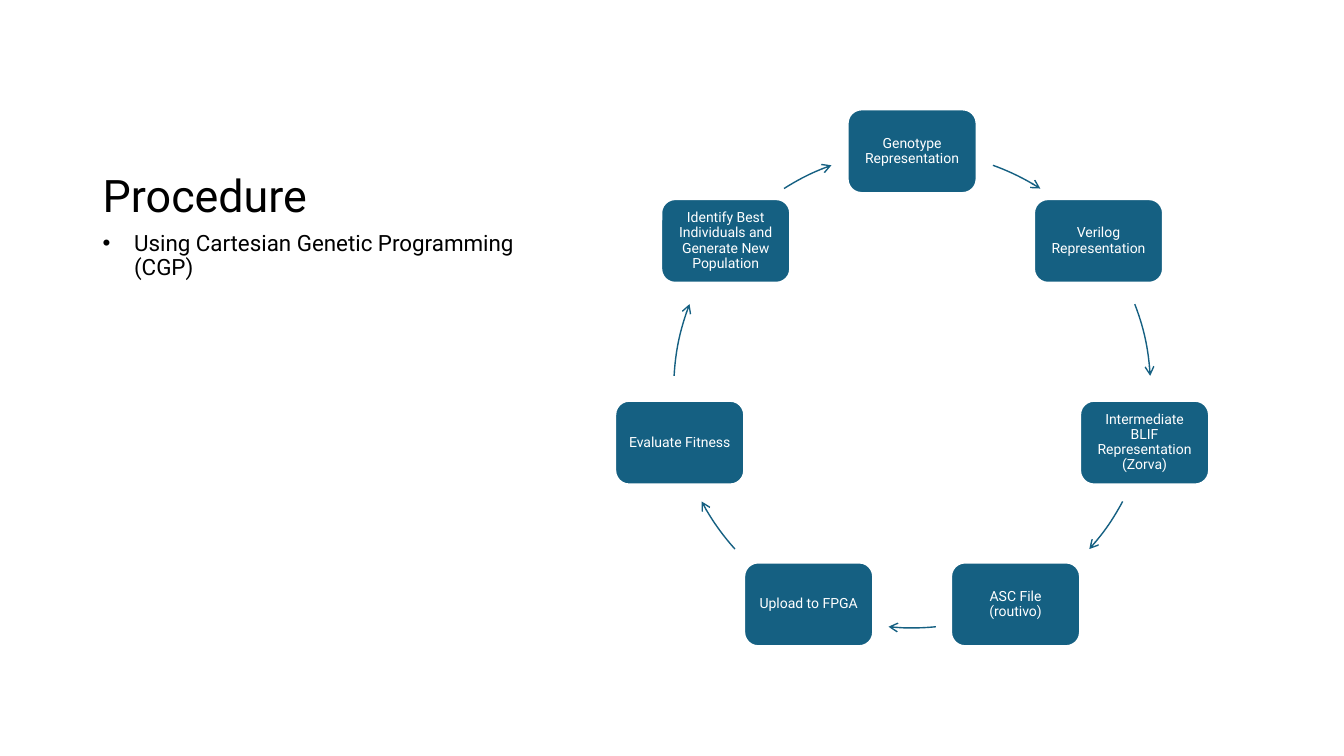
import math
from dataclasses import dataclass

from lxml import etree
from pptx import Presentation
from pptx import util as u
from pptx.dml.color import RGBColor
from pptx.enum import shapes, text
from pptx.oxml.ns import qn
from pptx.shapes.autoshape import Shape
from pptx.slide import Slide
from pptx.text.text import TextFrame

COLOURS = {"step": "156082", "outline": "FFFFFF", "label": "FFFFFF", "ink": "000000"}
FONT = "Roboto"

# The grid has 100 columns and 100 rows.
SLIDE_WIDTH, SLIDE_HEIGHT = u.Inches(13.33), u.Inches(7.5)
COLUMN, ROW = SLIDE_WIDTH / 100, SLIDE_HEIGHT / 100

RING_X, RING_Y = 67.87 * COLUMN, 51.53 * ROW
RING_RADIUS = 17.74 * COLUMN
STEP_WIDTH, STEP_HEIGHT = 9.6 * COLUMN, 11.07 * ROW
STEP_INSET = 0.6 * COLUMN
TEXT_LEFT, TEXT_WIDTH = 6.9 * COLUMN, 32.25 * COLUMN
BULLET_INDENT = 2.34 * COLUMN


@dataclass(frozen=True)
class Step:
    """A box on the ring and the arrow after it, in degrees clockwise from the top."""
    label: str
    arrow_start: float
    arrow_end: float


@dataclass(frozen=True)
class TextBlock:
    """A text in the left column, with its place in rows."""
    wording: str
    top: float
    height: float
    size: int
    anchor: text.MSO_ANCHOR
    bulleted: bool = False


STEPS = [
    Step("Genotype Representation", 19.8, 32.5),
    Step("Verilog Representation", 69, 86.7),
    Step("Intermediate BLIF Representation (Zorva)", 118, 132),
    Step("ASC File\n(routivo)", 174.3, 185.7),
    Step("Upload to FPGA", 228, 242),
    Step("Evaluate Fitness", 273.3, 291),
    Step("Identify Best Individuals and Generate New Population", 327.5, 340.2),
]

TEXT_BLOCKS = [
    TextBlock("Procedure", 6.67, 23.33, 32, text.MSO_ANCHOR.BOTTOM),
    TextBlock("Using Cartesian Genetic Programming (CGP)", 30, 55.6, 16,
              text.MSO_ANCHOR.TOP, bulleted=True),
]


def colour(name: str) -> RGBColor:
    return RGBColor.from_string(COLOURS[name])


def write(frame: TextFrame, wording: str, size: int, colour_name: str) -> None:
    frame.word_wrap = True
    paragraph = frame.paragraphs[0]
    paragraph.text = wording
    paragraph.line_spacing = 0.9
    for run in paragraph.runs:
        run.font.name = FONT
        run.font.size = u.Pt(size)
        run.font.color.rgb = colour(colour_name)


def add_bullet(frame: TextFrame) -> None:
    paragraph = frame.paragraphs[0]
    paragraph.space_before = u.Pt(10)
    properties = paragraph._p.get_or_add_pPr()
    properties.set("marL", str(round(BULLET_INDENT)))
    properties.set("indent", str(-round(BULLET_INDENT)))
    etree.SubElement(properties, qn("a:buFont")).set("typeface", "Arial")
    etree.SubElement(properties, qn("a:buChar")).set("char", "•")


def add_text_block(slide: Slide, block: TextBlock) -> None:
    box = slide.shapes.add_textbox(round(TEXT_LEFT), round(block.top * ROW),
                                   round(TEXT_WIDTH), round(block.height * ROW))
    frame = box.text_frame
    write(frame, block.wording, block.size, "ink")
    frame.vertical_anchor = block.anchor
    if block.bulleted:
        add_bullet(frame)


def add_centred(slide: Slide, kind: shapes.MSO_SHAPE, x: float, y: float,
                width: float, height: float) -> Shape:
    """Add a preset shape around the point x, y."""
    shape = slide.shapes.add_shape(kind, round(x - width / 2), round(y - height / 2),
                                   round(width), round(height))
    shape.shadow.inherit = False
    return shape


def add_step_box(slide: Slide, step: Step, angle: float) -> None:
    box = add_centred(slide, shapes.MSO_SHAPE.ROUNDED_RECTANGLE,
                      RING_X + RING_RADIUS * math.sin(angle),
                      RING_Y - RING_RADIUS * math.cos(angle),
                      STEP_WIDTH, STEP_HEIGHT)
    box.fill.solid()
    box.fill.fore_color.rgb = colour("step")
    box.line.color.rgb = colour("outline")
    box.line.width = u.Pt(1.5)
    frame = box.text_frame
    frame.margin_left = frame.margin_right = round(STEP_INSET)
    frame.margin_top = frame.margin_bottom = round(STEP_INSET)
    write(frame, step.label, 10, "label")
    frame.vertical_anchor = text.MSO_ANCHOR.MIDDLE
    frame.paragraphs[0].alignment = text.PP_ALIGN.CENTER


def add_arrow(slide: Slide, step: Step) -> None:
    arc = add_centred(slide, shapes.MSO_SHAPE.ARC, RING_X, RING_Y,
                      2 * RING_RADIUS, 2 * RING_RADIUS)
    # Presets count 60000ths of a degree from the right; adjustments are 100000ths of that.
    for index, angle in enumerate((step.arrow_start, step.arrow_end)):
        arc.adjustments[index] = (angle - 90) % 360 * 0.6
    arc.fill.background()
    arc.line.color.rgb = colour("step")
    arc.line.width = u.Pt(1)
    etree.SubElement(arc.line._get_or_add_ln(), qn("a:tailEnd")).set("type", "arrow")


def main() -> None:
    presentation = Presentation()
    presentation.slide_width, presentation.slide_height = SLIDE_WIDTH, SLIDE_HEIGHT
    slide = presentation.slides.add_slide(presentation.slide_layouts[6])
    for block in TEXT_BLOCKS:
        add_text_block(slide, block)
    for index, step in enumerate(STEPS):
        add_step_box(slide, step, math.tau * index / len(STEPS))
        add_arrow(slide, step)
    presentation.save("out.pptx")


if __name__ == "__main__":
    main()
